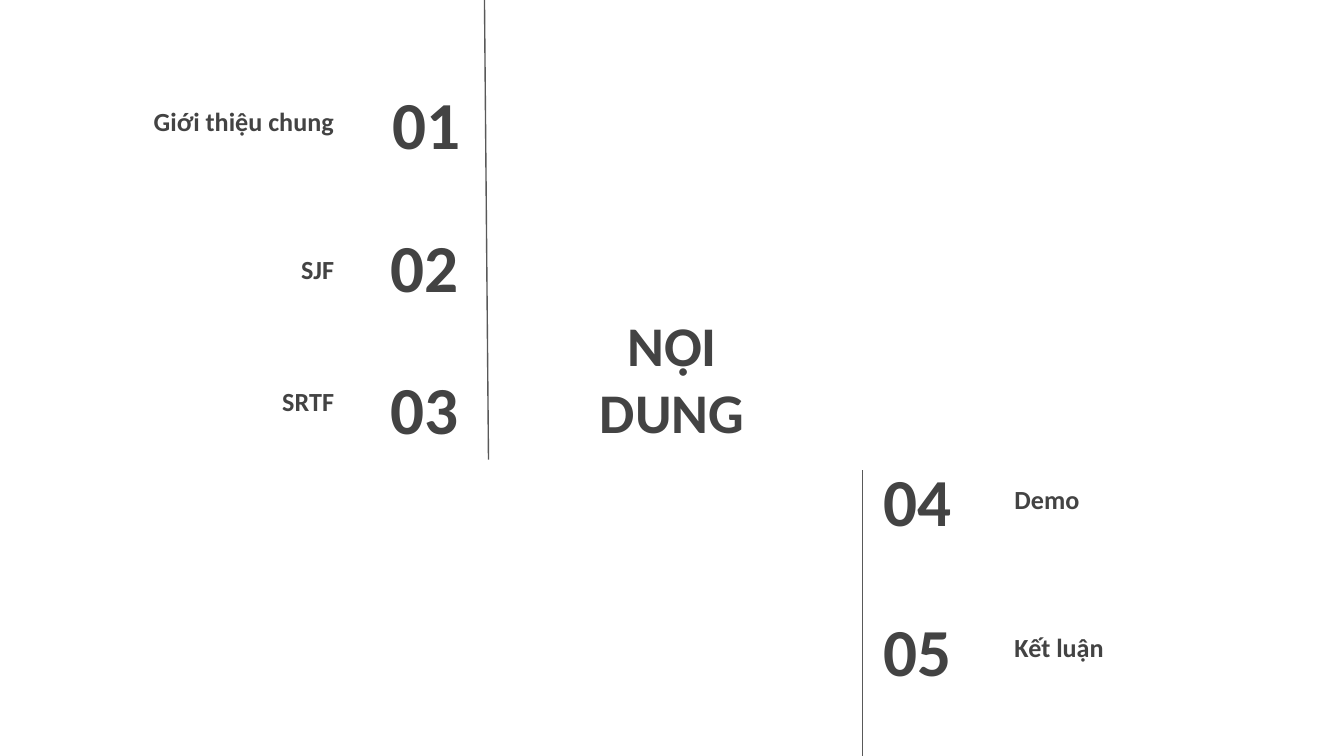
from dataclasses import dataclass

import pptx
import pptx.dml.color
import pptx.enum.shapes
import pptx.enum.text
import pptx.oxml.ns
import pptx.util
from lxml import etree

PX = 4572  # EMU per px, 200 px to the inch
PAGE_WIDTH, PAGE_HEIGHT = 2000, 1125
ALIGN = pptx.enum.text.PP_ALIGN
ANCHOR = pptx.enum.text.MSO_ANCHOR


@dataclass(frozen=True)
class Theme:
    font: str = "Calibri"
    ink: str = "434343"
    rule: str = "595959"
    paper: str = "FFFFFF"
    title_size: int = 30
    number_size: int = 36
    label_size: int = 14
    rule_width: float = 0.75
    inset: int = 20


THEME = Theme()


@dataclass(frozen=True)
class Box:
    left: int
    top: int
    width: int
    height: int

    def inner(self, left, top, width, height):
        return Box(self.left + left, self.top + top, width, height)


def color(value):
    return pptx.dml.color.RGBColor.from_string(value)


def write_text(shape, box, text, size, align, anchor):
    """Place a text shape in its box and format its words."""
    shape.left, shape.top = box.left * PX, box.top * PX
    shape.width, shape.height = box.width * PX, box.height * PX
    frame = shape.text_frame
    frame.text = text
    frame.word_wrap = True
    frame.auto_size = pptx.enum.text.MSO_AUTO_SIZE.NONE
    frame.vertical_anchor = anchor
    frame.margin_left = frame.margin_right = THEME.inset * PX
    frame.margin_top = frame.margin_bottom = THEME.inset * PX
    for para in frame.paragraphs:
        para.alignment = align
        for span in para.runs:
            span.font.name = THEME.font
            span.font.size = pptx.util.Pt(size)
            span.font.bold = True
            span.font.color.rgb = color(THEME.ink)


def add_text(page, box, *style):
    shape = page.shapes.add_textbox(0, 0, 0, 0)
    write_text(shape, box, *style)


def add_rule(page, start, end):
    ends = [value * PX for value in (*start, *end)]
    rule = page.shapes.add_connector(
        pptx.enum.shapes.MSO_CONNECTOR.STRAIGHT, *ends)
    rule.line.color.rgb = color(THEME.rule)
    rule.line.width = pptx.util.Pt(THEME.rule_width)
    etree.SubElement(rule.element.spPr, pptx.oxml.ns.qn("a:effectLst"))


def add_heading(page, box):
    write_text(page.shapes.title, box, "NỘI\vDUNG", THEME.title_size,
               ALIGN.CENTER, ANCHOR.MIDDLE)


def add_contents(page, box, first, pitch, number_box, label_left, align, entries):
    """Numbered entries; each gives its label, label top and height, and nudge."""
    number_left, number_top, number_width, number_height = number_box
    for index, (label, label_top, label_height, nudge) in enumerate(entries):
        row = box.inner(0, number_top + index * pitch, box.width, number_height)
        add_text(page, row.inner(number_left + nudge, 0, number_width, number_height),
                 f"{first + index:02d}", THEME.number_size, align, ANCHOR.MIDDLE)
        add_text(page, row.inner(label_left, label_top, 432, label_height),
                 label, THEME.label_size, align, ANCHOR.BOTTOM)


def add_left_contents(page, box):
    add_contents(page, box, 1, 212, (375, 120, 242, 126), 0, ALIGN.RIGHT, [
        ("Giới thiệu chung", 20, 84, 3),
        ("SJF", 36, 76, 0),
        ("SRTF", 30, 66, 0),
    ])
    right = box.left + box.width
    add_rule(page, (right - 6, box.top), (right, box.top + box.height))


def add_right_contents(page, box):
    add_contents(page, box, 4, 223, (11, -19, 234, 126), 206, ALIGN.LEFT, [
        ("Demo", 21, 84, 0),
        ("Kết luận", 24, 78, 0),
    ])
    add_rule(page, (box.left, box.top), (box.left, box.top + box.height))


def main():
    deck = pptx.Presentation()
    deck.slide_width, deck.slide_height = PAGE_WIDTH * PX, PAGE_HEIGHT * PX
    page = deck.slides.add_slide(deck.slide_layouts.get_by_name("Title Only"))
    page.background.fill.solid()
    page.background.fill.fore_color.rgb = color(THEME.paper)

    # Title in the middle, contents in opposite corners
    add_heading(page, Box(741, 459, 518, 206))
    add_left_contents(page, Box(85, 0, 642, 684))
    add_right_contents(page, Box(1284, 700, 638, PAGE_HEIGHT - 700))
    deck.save("out.pptx")


if __name__ == "__main__":
    main()
